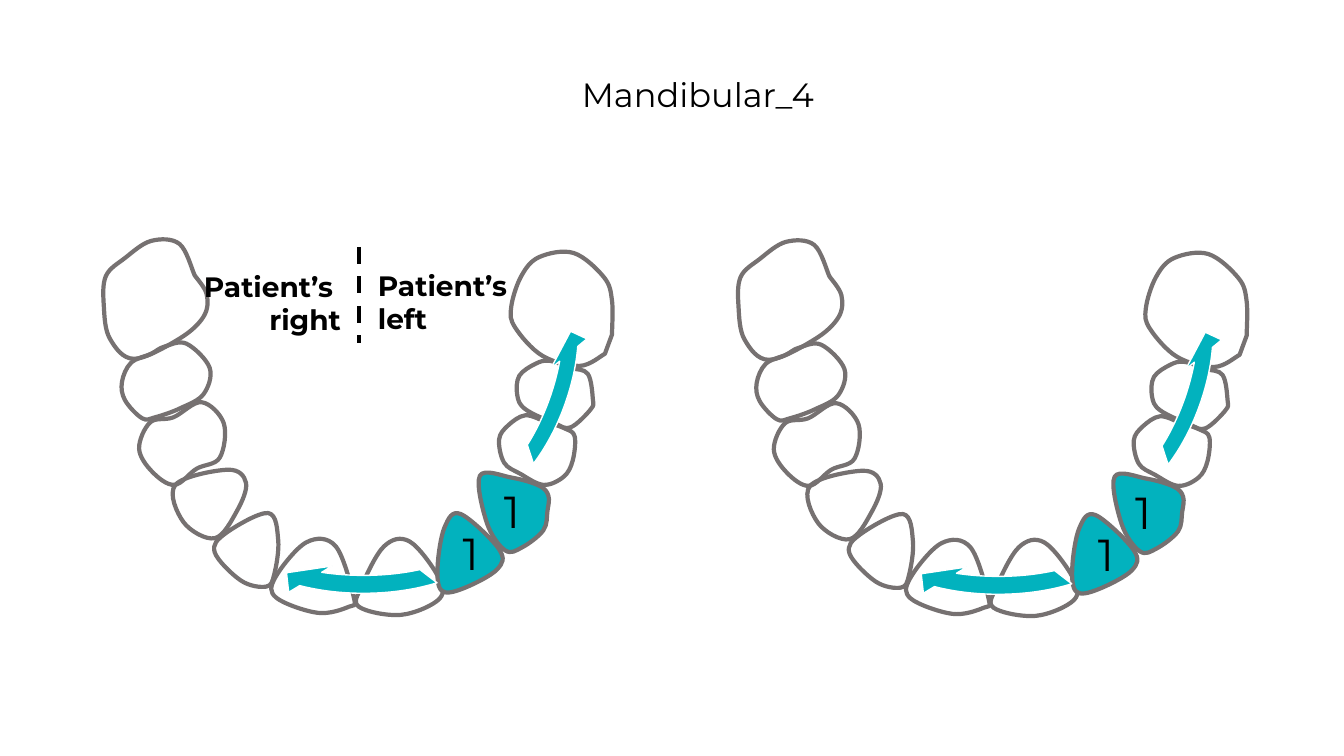
from lxml.etree import Element
from pptx import Presentation
from pptx.dml.color import RGBColor
from pptx.enum.dml import MSO_LINE
from pptx.enum.shapes import MSO_CONNECTOR, MSO_SHAPE
from pptx.enum.text import MSO_AUTO_SIZE, PP_ALIGN
from pptx.oxml.ns import qn
from pptx.util import Inches, Pt

COLORS = {"text": "000000", "outline": "767171", "marked": "02B2BE", "edge": "FFFFFF"}
COLUMNS, ROWS = 1333, 750
CELL = Inches(13.33) / COLUMNS

TITLE = (["Mandibular_4 "], (551, 68, 291, 50), PP_ALIGN.CENTER, {"size": Pt(24)})
SIDE_FONT = {"size": Pt(20), "bold": True}
SIDES = [
    (["Patient’s ", "right"], (127, 262, 221, 77), PP_ALIGN.RIGHT, SIDE_FONT),
    (["Patient’s", "left"], (365, 261, 154, 77), PP_ALIGN.LEFT, SIDE_FONT),
]
MIDLINE = (356, 245, 356, 340)
NUMBER_FONT = {"size": Pt(32)}
NUMBER_SIZE = (65, 64)

# A repeated point makes a corner.
TEETH = {
    "right central incisor":
        [(346, 602), (351, 593), (333, 542), (304, 538), (273, 573), (274, 593), (315, 608)],
    "right lateral incisor":
        [(272, 570), (276, 536), (266, 509), (224, 529), (213, 548), (239, 576), (264, 582)],
    "right canine":
        [(244, 479), (235, 507), (213, 534), (182, 518), (174, 481), (226, 466)],
    "right first premolar":
        [(173, 481), (195, 465), (218, 454), (222, 420), (200, 399), (172, 414), (149, 419),
         (138, 445), (151, 468)],
    "right second premolar":
        [(179, 405), (202, 391), (208, 365), (185, 341), (163, 344), (150, 351), (130, 360),
         (121, 379), (124, 397), (141, 415), (154, 414)],
    "right molar":
        [(178, 336), (202, 314), (205, 292), (193, 273), (193, 273), (178, 242), (150, 239),
         (124, 256), (105, 274), (103, 304), (109, 336), (133, 356)],
    "left central incisor":
        [(356, 602), (359, 581), (381, 542), (406, 537), (434, 571), (436, 594), (398, 610)],
    "left lateral incisor":
        [(493, 565), (495, 545), (457, 510), (441, 523), (434, 562), (438, 586), (459, 584)],
    "left canine":
        [(543, 507), (544, 492), (535, 482), (508, 474), (476, 472), (483, 519), (501, 546),
         (518, 543), (539, 526)],
    "left first premolar":
        [(568, 457), (559, 473), (539, 481), (516, 470), (500, 459), (495, 436), (504, 422),
         (521, 412), (540, 418), (540, 418), (560, 425), (570, 433)],
    "left second premolar":
        [(588, 396), (586, 406), (566, 424), (550, 420), (521, 406), (513, 392), (515, 373),
         (531, 361), (545, 358), (566, 365), (583, 371)],
    "left molar":
        [(607, 298), (599, 275), (569, 251), (535, 255), (517, 274), (507, 305), (511, 325),
         (538, 353), (575, 363), (600, 351), (600, 351), (607, 332), (607, 332)],
}
MARKED = {"left lateral incisor", "left canine"}
ARROWS = [
    ((208, 439, 305, 166), 0, ("flipH", "flipV")),
    ((365, 304, 276, 152), 109.5, ("flipH",)),
]
ARROW_BENDS = (0.107, 8.273, 189.005, 130.563, 0.152)
ARCHES = [
    {"shift": (0, 0), "numbers": [(449, 517), (490, 475)], "sides": SIDES, "midlines": [MIDLINE]},
    {"shift": (629.5, 1), "numbers": [(1079, 518), (1116, 476)], "sides": [], "midlines": []},
]


def emu(*cells):
    return [round(c * CELL) for c in cells]


def rgb(name):
    return RGBColor.from_string(COLORS[name])


def paint(sp, fill, line, width):
    sp.shadow.inherit = False
    if fill:
        sp.fill.solid()
        sp.fill.fore_color.rgb = rgb(fill)
    else:
        sp.fill.background()
    sp.line.color.rgb = rgb(line)
    sp.line.width = Pt(width)


def add_text(shapes, lines, box, align, font):
    tf = shapes.add_textbox(*emu(*box)).text_frame
    tf.word_wrap = True
    tf.auto_size = MSO_AUTO_SIZE.SHAPE_TO_FIT_TEXT
    for i, line in enumerate(lines):
        p = tf.paragraphs[0] if i == 0 else tf.add_paragraph()
        p.alignment = align
        r = p.add_run()
        r.text = line
        r.font.color.rgb = rgb("text")
        for key, value in {"name": "Montserrat", **font}.items():
            setattr(r.font, key, value)


def add_tooth(shapes, anchors, fill, shift):
    pts = [tuple(emu(x + shift[0], y + shift[1])) for x, y in anchors]
    builder = shapes.build_freeform(*pts[0], scale=1.0)
    builder.add_line_segments(pts[1:] + pts[:1], close=True)
    sp = builder.convert_to_shape()
    paint(sp, fill, "outline", 3)
    left, top = (min(axis) for axis in zip(*pts))
    n = len(pts)
    for i, seg in enumerate(list(sp._element.iter(qn("a:lnTo")))):
        before, start, end, after = (pts[(i + k) % n] for k in (-1, 0, 1, 2))
        if start == end:
            continue
        bends = [
            [s + (e - b) / 6 for b, s, e in zip(before, start, end)],
            [e - (a - s) / 6 for s, e, a in zip(start, end, after)],
        ]
        seg.tag = qn("a:cubicBezTo")
        for k, (x, y) in enumerate(bends):
            seg.insert(k, Element(qn("a:pt"), x=str(round(x - left)), y=str(round(y - top))))


def add_arrow(shapes, box, turn, flips, shift):
    x, y, w, h = box
    sp = shapes.add_shape(MSO_SHAPE.CIRCULAR_ARROW, *emu(x + shift[0], y + shift[1], w, h))
    paint(sp, "marked", "edge", 1)
    sp.rotation = turn
    for i, bend in enumerate(ARROW_BENDS):
        sp.adjustments[i] = bend
    for flip in flips:
        sp._element.spPr.find(qn("a:xfrm")).set(flip, "1")


def add_midline(shapes, ends):
    ln = shapes.add_connector(MSO_CONNECTOR.STRAIGHT, *emu(*ends))
    ln.line.color.rgb = rgb("text")
    ln.line.width = Pt(3)
    ln.line.dash_style = MSO_LINE.DASH
    ln._element.spPr.append(Element(qn("a:effectLst")))


def add_arch(slide, arch):
    shapes = slide.shapes.add_group_shape().shapes
    for tooth, anchors in TEETH.items():
        add_tooth(shapes, anchors, "marked" if tooth in MARKED else None, arch["shift"])
    for side in arch["sides"]:
        add_text(shapes, *side)
    for ends in arch["midlines"]:
        add_midline(shapes, ends)
    for corner in arch["numbers"]:
        add_text(shapes, ["1"], corner + NUMBER_SIZE, PP_ALIGN.LEFT, NUMBER_FONT)
    for arrow in ARROWS:
        add_arrow(shapes, *arrow, arch["shift"])


def main():
    prs = Presentation()
    prs.slide_width, prs.slide_height = emu(COLUMNS, ROWS)
    slide = prs.slides.add_slide(prs.slide_layouts[6])
    add_text(slide.shapes, *TITLE)
    for arch in ARCHES:
        add_arch(slide, arch)
    prs.save("out.pptx")


if __name__ == "__main__":
    main()
